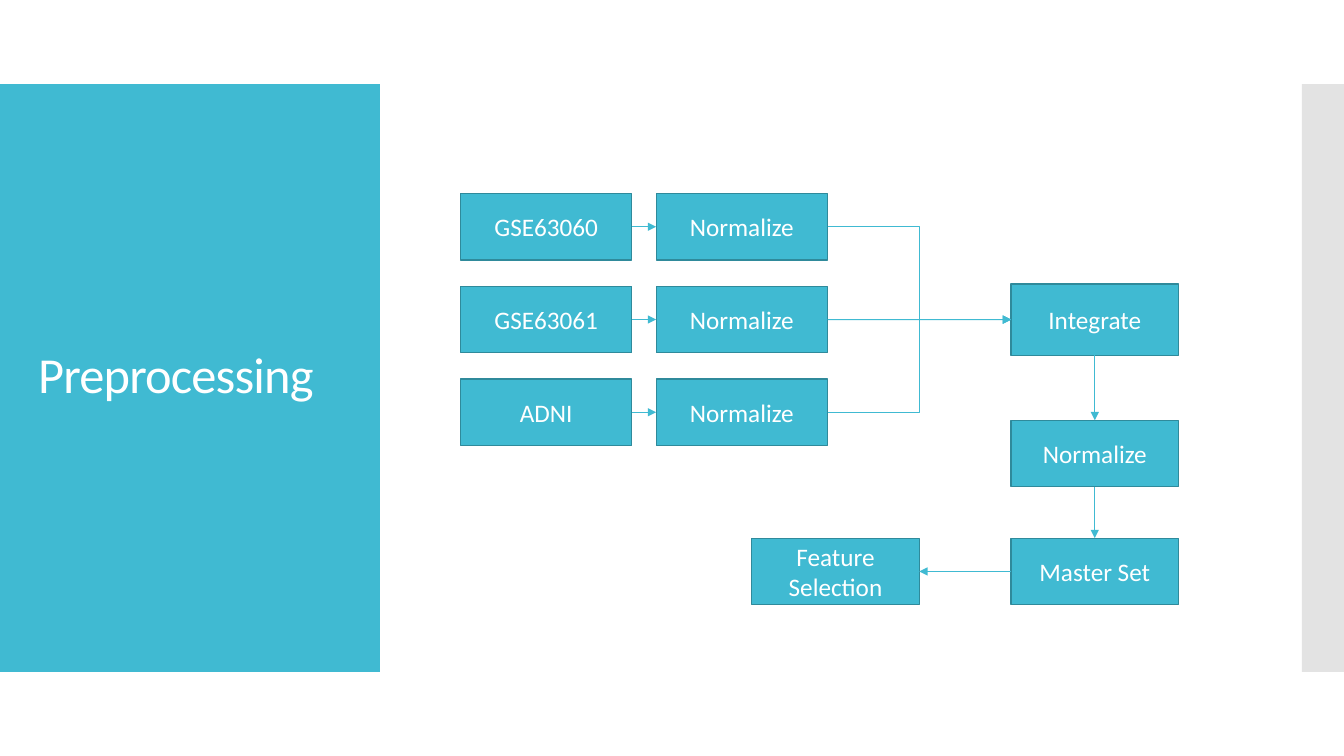
from pptx import Presentation
from pptx.dml.color import RGBColor
from pptx.enum.shapes import MSO_CONNECTOR, MSO_SHAPE
from pptx.enum.text import MSO_ANCHOR, PP_ALIGN
from pptx.oxml.ns import qn
from pptx.util import Pt
from lxml.etree import SubElement

TEAL = RGBColor(0x40, 0xBA, 0xD2)
DARK_TEAL = RGBColor(0x2F, 0x8A, 0x9B)
GRAY = RGBColor(0xC8, 0xC8, 0xC8)
WHITE = RGBColor(0xFF, 0xFF, 0xFF)
FONT = "Calibri"
TOP, LEFT, BOTTOM, RIGHT = range(4)


def format_text(shape, text, size, align):
    frame = shape.text_frame
    frame.text = text
    frame.word_wrap = True
    frame.vertical_anchor = MSO_ANCHOR.MIDDLE
    para = frame.paragraphs[0]
    para.alignment = align
    span = para.runs[0]
    span.font.name = FONT
    span.font.size = Pt(size)
    span.font.color.rgb = WHITE
    return para


def add_rectangle(page, left, top, width, height, color):
    shape = page.shapes.add_shape(
        MSO_SHAPE.RECTANGLE, Pt(left), Pt(top), Pt(width), Pt(height))
    shape.shadow.inherit = False
    shape.fill.solid()
    shape.fill.fore_color.rgb = color
    shape.line.fill.background()
    return shape


def add_step(page, text, left, top, width, height):
    step = add_rectangle(page, left, top, width, height, TEAL)
    step.line.color.rgb = DARK_TEAL
    step.line.width = Pt(0.85)
    format_text(step, text, 18, PP_ALIGN.CENTER)
    return step


def add_arrow(page, source, source_side, target, target_side,
              kind=MSO_CONNECTOR.STRAIGHT):
    arrow = page.shapes.add_connector(kind, 0, 0, 0, 0)
    arrow.begin_connect(source, source_side)
    arrow.end_connect(target, target_side)
    arrow.line.color.rgb = TEAL
    arrow.line.width = Pt(0.75)
    SubElement(arrow.line._get_or_add_ln(), qn("a:tailEnd"), type="triangle")
    SubElement(arrow._element.spPr, qn("a:effectLst"))


def add_title_panel(page, left, top, width, height):
    panel = add_rectangle(page, left, top, width, height, TEAL)
    title = page.shapes.title
    title.element.addprevious(panel.element)
    title.left, title.top = Pt(left + 20), Pt(top + 28.6)
    title.width, title.height = Pt(width - 33), Pt(height - 57.8)
    para = format_text(title, "Preprocessing", 36, PP_ALIGN.LEFT)
    para.line_spacing = 0.9
    para.runs[0].font._element.set("spc", "-60")


def add_side_strip(page, left, top, width, height):
    strip = add_rectangle(page, left, top, width, height, GRAY)
    color = strip.element.spPr.find(qn("a:solidFill"))[0]
    SubElement(color, qn("a:alpha"), val="50000")


def add_flow(page, left, top, width, height):
    source_width, step_width, step_height = 122.4, 119.6, 47.6
    row_pitch = 66.25
    normalize_left = left + 139.7
    final_left = left + width - step_width
    final_top = top + height - step_height

    integrate = add_step(
        page, "Integrate", final_left, top + 64.6, step_width, 51)
    for row, name in enumerate(["GSE63060", "GSE63061", "ADNI"]):
        row_top = top + row * row_pitch
        source = add_step(
            page, name, left, row_top, source_width, step_height)
        normalize = add_step(
            page, "Normalize", normalize_left, row_top, source_width,
            step_height)
        add_arrow(page, source, RIGHT, normalize, LEFT)
        kind = MSO_CONNECTOR.STRAIGHT if row == 1 else MSO_CONNECTOR.ELBOW
        add_arrow(page, normalize, RIGHT, integrate, LEFT, kind)

    normalize_all = add_step(
        page, "Normalize", final_left, top + 162, step_width, step_height)
    master = add_step(
        page, "Master Set", final_left, final_top, step_width, step_height)
    selection = add_step(
        page, "Feature Selection", final_left - 185.2, final_top, step_width,
        step_height)
    add_arrow(page, integrate, BOTTOM, normalize_all, TOP)
    add_arrow(page, normalize_all, BOTTOM, master, TOP)
    add_arrow(page, master, LEFT, selection, RIGHT)


def main():
    deck = Presentation()
    deck.slide_width, deck.slide_height = Pt(960), Pt(540)
    page = deck.slides.add_slide(deck.slide_layouts[5])
    add_title_panel(page, 0, 60, 271.4, 420)
    add_side_strip(page, 930, 60, 30, 420)
    add_flow(page, 329, 138.2, 512.8, 293.8)
    deck.save("out.pptx")


if __name__ == "__main__":
    main()
